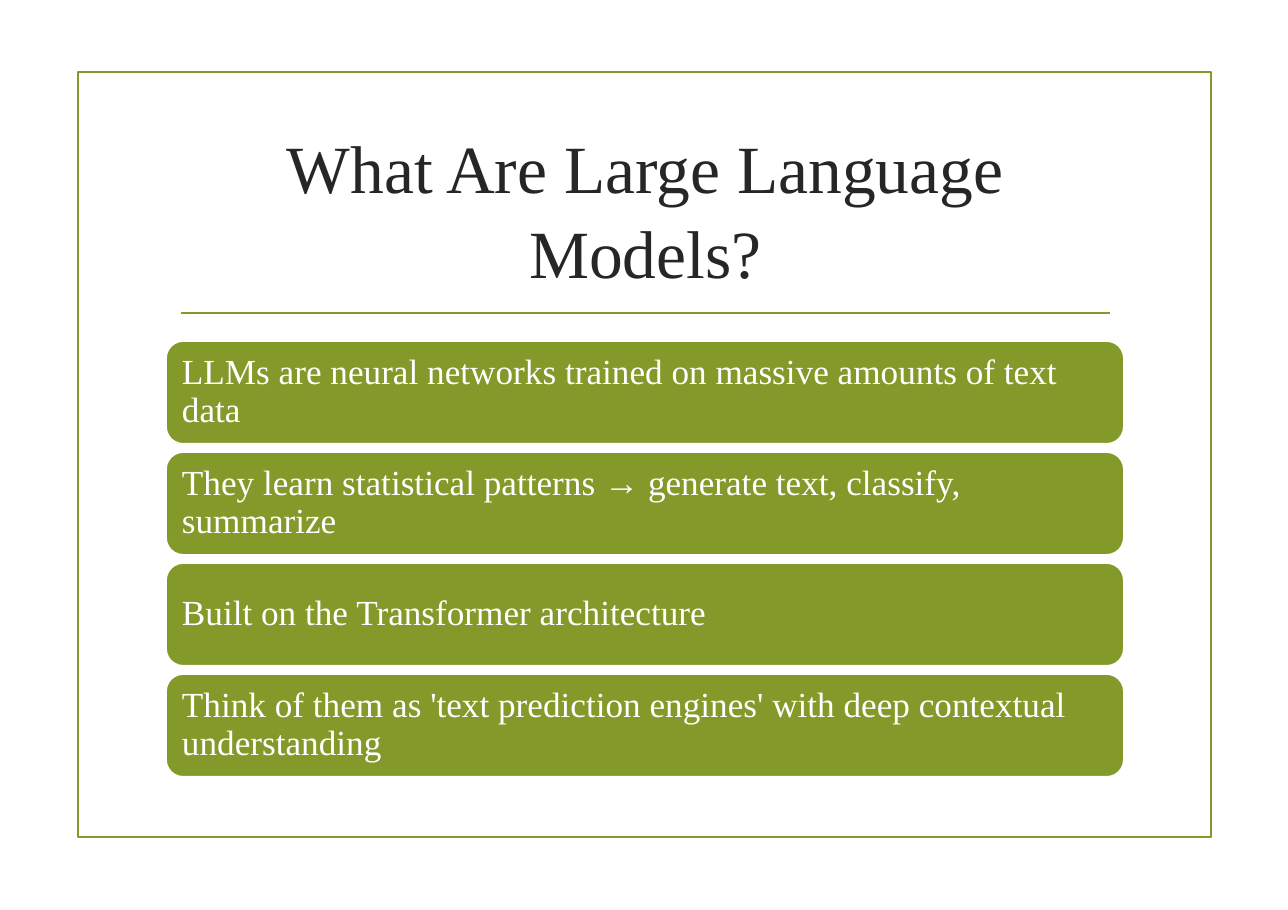
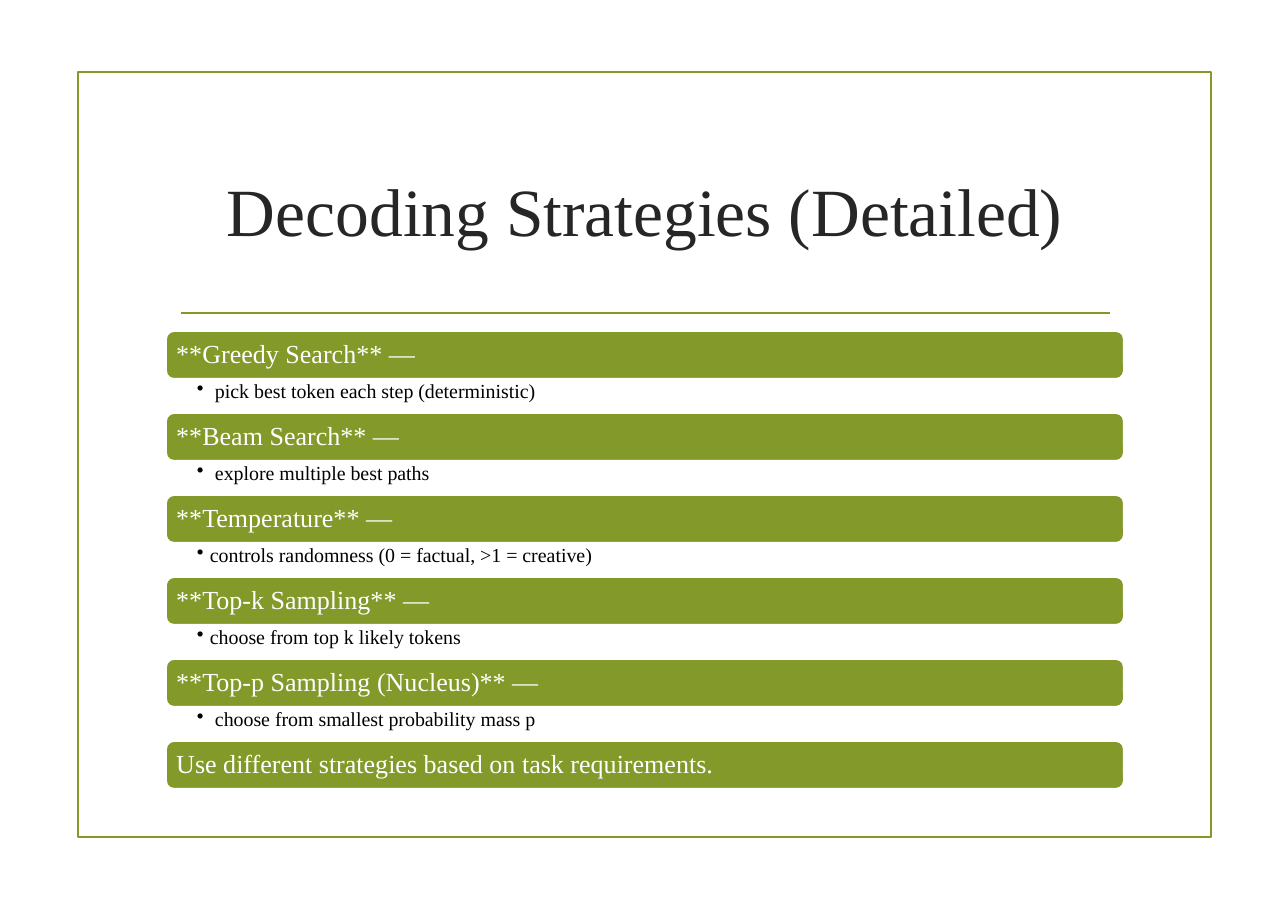
from pptx import Presentation
from pptx.dml.color import RGBColor
from pptx.enum.shapes import MSO_CONNECTOR as Connector, MSO_SHAPE as Shape
from pptx.enum.text import MSO_ANCHOR as Anchor, PP_ALIGN as Align
from pptx.oxml.ns import qn
from pptx.util import Pt
from lxml.etree import SubElement

EMU_PER_PX = 8298
SLIDE_SIZE = (1288, 910)
FONT = "Times New Roman"
OLIVE, WHITE, INK, BLACK = "83992A", "FFFFFF", "262626", "000000"
LINE_WIDTH = Pt(1.25)
FRAME_BOX = (78, 72, 1133, 765)
TITLE_BOX = (166, 121, 959, 173)
RULE = (181, 313, 1110)

PREMISES = [
    "LLMs are neural networks trained on massive amounts of text data",
    "They learn statistical patterns → generate text, classify, summarize",
    "Built on the Transformer architecture",
    "Think of them as 'text prediction engines' with deep contextual understanding",
]
STRATEGIES = [
    ("**Greedy Search** —", " pick best token each step (deterministic)"),
    ("**Beam Search** —", " explore multiple best paths"),
    ("**Temperature** —", "controls randomness (0 = factual, >1 = creative)"),
    ("**Top-k Sampling** —", "choose from top k likely tokens"),
    ("**Top-p Sampling (Nucleus)** —", " choose from smallest probability mass p"),
    ("Use different strategies based on task requirements.", None),
]


def px(length):
    return length * EMU_PER_PX


def emu(box):
    return [px(length) for length in box]


def color(hex_string):
    return RGBColor.from_string(hex_string)


def write(holder, text, size, ink, align=Align.LEFT, anchor=Anchor.MIDDLE,
          insets=(11, 6, 11, 6), spacing=0.9, bullet_indent=0):
    frame = holder.text_frame
    frame.word_wrap = True
    frame.vertical_anchor = anchor
    (frame.margin_left, frame.margin_top,
     frame.margin_right, frame.margin_bottom) = emu(insets)
    paragraph = frame.paragraphs[0]
    paragraph.alignment = align
    paragraph.line_spacing = spacing
    run = paragraph.add_run()
    run.text = text
    run.font.name = FONT
    run.font.size = Pt(size)
    run.font.color.rgb = color(ink)
    if bullet_indent:
        properties = paragraph._p.get_or_add_pPr()
        properties.set("marL", str(px(bullet_indent)))
        properties.set("indent", str(-px(bullet_indent)))
        SubElement(properties, qn("a:buChar")).set("char", "•")


def add_panel(slide, preset, box, line, fill=None):
    panel = slide.shapes.add_shape(preset, *emu(box))
    panel.shadow.inherit = False
    if fill:
        panel.fill.solid()
        panel.fill.fore_color.rgb = color(fill)
    else:
        panel.fill.background()
    panel.line.color.rgb = color(line)
    panel.line.width = LINE_WIDTH
    return panel


def add_rule(slide, left, top, right):
    rule = slide.shapes.add_connector(
        Connector.STRAIGHT, *emu((left, top, right, top)))
    rule.line.color.rgb = color(OLIVE)
    rule.line.width = LINE_WIDTH
    SubElement(rule._element.spPr, qn("a:effectLst"))


def add_titled_slide(deck, title):
    slide = deck.slides.add_slide(deck.slide_layouts[6])
    add_panel(slide, Shape.RECTANGLE, FRAME_BOX, OLIVE)
    add_rule(slide, *RULE)
    heading = slide.shapes.add_textbox(*emu(TITLE_BOX))
    write(heading, title, 44.1, INK, align=Align.CENTER, spacing=1.04)
    return slide


def add_bar(slide, box, text, size, inset):
    bar = add_panel(slide, Shape.ROUNDED_RECTANGLE, box, WHITE, OLIVE)
    write(bar, text, size, WHITE, insets=(inset,) * 4)


def add_premises(slide, box, premises, gap=8):
    left, top, width, height = box
    pitch = (height + gap) // len(premises)
    for row, premise in enumerate(premises):
        add_bar(slide, (left, top + row * pitch, width, pitch - gap),
                premise, 23, 11)


def add_strategies(slide, box, strategies, detail_height=34):
    left, top, width, height = box
    pitch = (height + detail_height) // len(strategies)
    bar_height = pitch - detail_height
    for row, (strategy, detail) in enumerate(strategies):
        bar_top = top + row * pitch
        add_bar(slide, (left, bar_top, width, bar_height), strategy, 17, 8)
        if detail:
            note = slide.shapes.add_textbox(
                *emu((left, bar_top + bar_height, width, detail_height)))
            write(note, detail, 13, BLACK, anchor=Anchor.TOP,
                  insets=(31, 2, 14, 2), bullet_indent=13)


def main():
    deck = Presentation()
    deck.slide_width, deck.slide_height = emu(SLIDE_SIZE)
    add_premises(add_titled_slide(deck, "What Are Large Language Models?"),
                 (166, 341, 958, 436), PREMISES)
    add_strategies(add_titled_slide(deck, "Decoding Strategies (Detailed)"),
                   (166, 331, 958, 458), STRATEGIES)
    deck.save("out.pptx")


if __name__ == "__main__":
    main()
